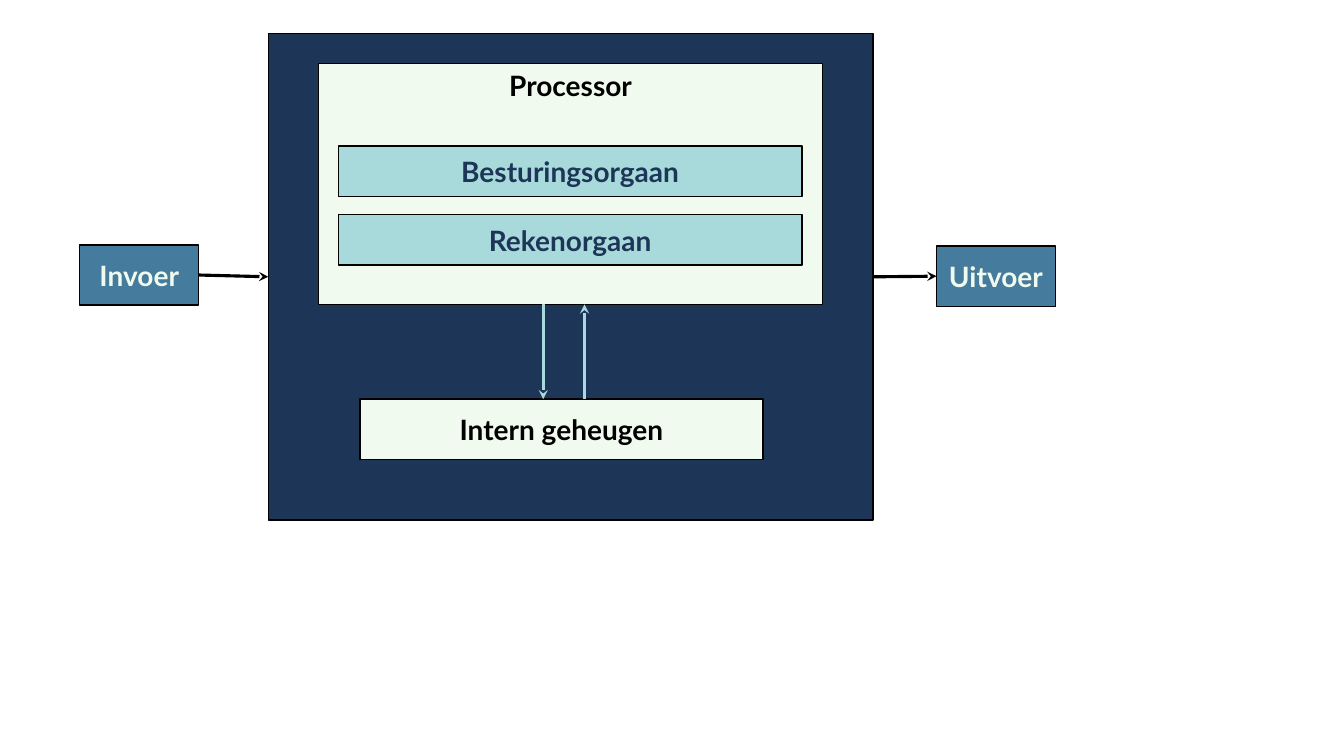
from lxml.etree import SubElement
from pptx import Presentation
from pptx.dml.color import RGBColor
from pptx.enum.shapes import MSO_CONNECTOR as CONN, MSO_SHAPE as SHAPE
from pptx.enum.text import MSO_ANCHOR as ANCHOR, PP_ALIGN as ALIGN
from pptx.oxml.ns import qn
from pptx.util import Cm, Pt

BLACK, NAVY, BLUE, AQUA, CREAM = "000000", "1D3557", "457B9D", "A8DADC", "F1FAEE"
TOP, LEFT, BOTTOM, RIGHT = range(4)

# key: (text, left, top, width, height in cm, fill, text colour, anchor)
BOXES = {
    "computer": ("", 6.76, 0.84, 15.24, 12.27, NAVY, BLACK, ANCHOR.MIDDLE),
    "processor": ("Processor", 8.03, 1.6, 12.7, 6.07, CREAM, BLACK, ANCHOR.TOP),
    "control": ("Besturingsorgaan", 8.53, 3.68, 11.68, 1.27, AQUA, NAVY, ANCHOR.MIDDLE),
    "arithmetic": ("Rekenorgaan", 8.53, 5.41, 11.68, 1.27, AQUA, NAVY, ANCHOR.MIDDLE),
    "memory": ("Intern geheugen", 9.07, 10.06, 10.16, 1.52, CREAM, BLACK, ANCHOR.MIDDLE),
    "input": ("Invoer", 2.01, 6.17, 3, 1.52, BLUE, CREAM, ANCHOR.MIDDLE),
    "output": ("Uitvoer", 23.6, 6.2, 3, 1.52, BLUE, CREAM, ANCHOR.MIDDLE),
}
FLOWS = [("input", "computer"), ("computer", "output")]
TO_MEMORY_X, FROM_MEMORY_X = 13.69, 14.73


def rgb(value):
    return RGBColor.from_string(value)


def add_box(text, left, top, width, height, fill, color, anchor):
    sp = s.shapes.add_shape(SHAPE.RECTANGLE, Cm(left), Cm(top), Cm(width), Cm(height))
    sp.shadow.inherit = False
    sp.fill.solid()
    sp.fill.fore_color.rgb = rgb(fill)
    sp.line.color.rgb = rgb(BLACK)
    sp.line.width = Pt(1)
    if text:
        tf = sp.text_frame
        tf.text = text
        tf.vertical_anchor = anchor
        p = tf.paragraphs[0]
        p.alignment = ALIGN.CENTER
        font = p.runs[0].font
        font.name, font.size, font.bold = "Lato", Pt(20), True
        font.color.rgb = rgb(color)
    return sp


def add_arrow(x1, y1, x2, y2, color):
    """Draw a straight connector with a stealth arrowhead at its end."""
    line = s.shapes.add_connector(CONN.STRAIGHT, x1, y1, x2, y2)
    line.line.color.rgb = rgb(color)
    line.line.width = Pt(2.25)
    props = line._element.spPr
    SubElement(props.find(qn("a:ln")), qn("a:tailEnd"), type="stealth")
    SubElement(props, qn("a:effectLst"))
    return line


prs = Presentation()
prs.slide_width, prs.slide_height = Cm(33.87), Cm(19.05)
s = prs.slides.add_slide(prs.slide_layouts[6])

boxes = {key: add_box(*box) for key, box in BOXES.items()}

processor, memory = boxes["processor"], boxes["memory"]
upper, lower = processor.top + processor.height, memory.top
add_arrow(Cm(TO_MEMORY_X), upper, Cm(TO_MEMORY_X), lower, AQUA)
add_arrow(Cm(FROM_MEMORY_X), lower, Cm(FROM_MEMORY_X), upper, AQUA)

for source, target in FLOWS:
    arrow = add_arrow(0, 0, 0, 0, BLACK)
    arrow.begin_connect(boxes[source], RIGHT)
    arrow.end_connect(boxes[target], LEFT)

prs.save("out.pptx")
